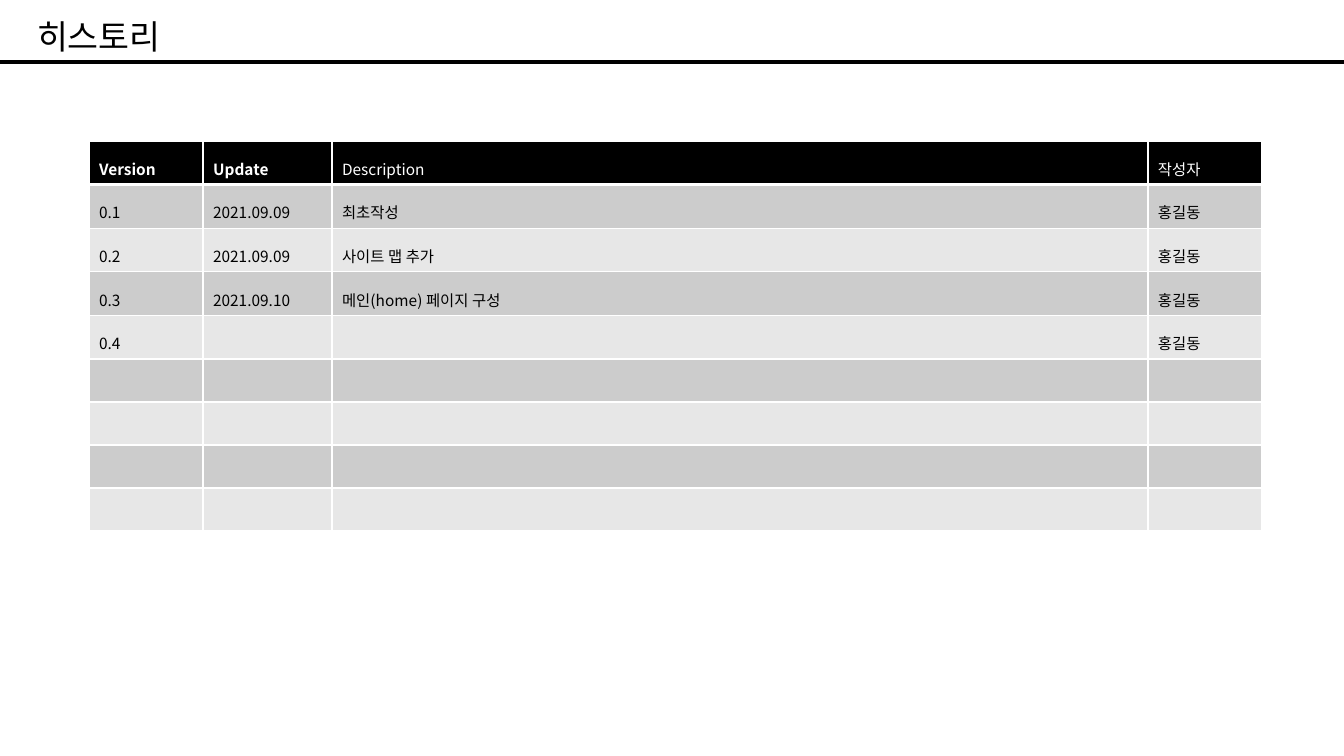
"""Build the version history slide: a title, a rule and a table of revisions."""
from dataclasses import dataclass

import lxml.etree
import pptx
import pptx.dml.color
import pptx.enum.shapes
import pptx.enum.text
import pptx.oxml.ns
import pptx.util

EMU_PER_PX = 914400 / 100.8
FONT = "Noto Sans CJK KR"
COLORS = {
    "black": "000000",
    "white": "FFFFFF",
    "odd_row": "CCCCCC",
    "even_row": "E7E7E7",
}
COLUMN_WIDTHS = (114, 129, 816, 114)
ROW_HEIGHT = 43
ROW_COUNT = 9
HEADER = ("Version", "Update", "Description", "작성자")
BOLD_COLUMNS = 2


@dataclass(frozen=True)
class Revision:
    version: str = ""
    update: str = ""
    description: str = ""
    author: str = ""

    def cells(self) -> tuple[str, ...]:
        return self.version, self.update, self.description, self.author


REVISIONS = (
    Revision("0.1", "2021.09.09", "최초작성", "홍길동"),
    Revision("0.2", "2021.09.09", "사이트 맵 추가", "홍길동"),
    Revision("0.3", "2021.09.10", "메인(home) 페이지 구성", "홍길동"),
    Revision("0.4", author="홍길동"),
)


def px(n: int) -> pptx.util.Emu:
    return pptx.util.Emu(round(n * EMU_PER_PX))


def rgb(name: str) -> pptx.dml.color.RGBColor:
    return pptx.dml.color.RGBColor.from_string(COLORS[name])


def add_element(parent, tag: str, **attributes: str):
    return lxml.etree.SubElement(parent, pptx.oxml.ns.qn(tag), attributes)


def set_text(tf, text: str, *, size: int, color: str = "black",
             bold: bool = False, spacing: float = 1.0) -> None:
    p = tf.paragraphs[0]
    p.alignment = pptx.enum.text.PP_ALIGN.LEFT
    p.line_spacing = spacing
    if not text:
        add_element(p._p, "a:endParaRPr", sz=str(size * 100))
        return
    r = p.add_run()
    r.text = text
    r.font.size = pptx.util.Pt(size)
    r.font.name = FONT
    r.font.bold = bold
    r.font.color.rgb = rgb(color)
    add_element(r._r.get_or_add_rPr(), "a:ea", typeface=FONT)


def set_borders(cell, **widths: int) -> None:
    tc_pr = cell._tc.get_or_add_tcPr()
    for i, (side, width) in enumerate(widths.items()):
        ln = add_element(tc_pr, f"a:ln{side}", w=str(pptx.util.Pt(width)))
        fill = add_element(ln, "a:solidFill")
        add_element(fill, "a:srgbClr", val=COLORS["white"])
        tc_pr.insert(i, ln)


def add_title(s, text: str) -> None:
    sp = s.shapes.title
    sp.left, sp.top, sp.width, sp.height = px(27), px(11), px(328), px(50)
    tf = sp.text_frame
    tf.word_wrap = True
    tf.auto_size = pptx.enum.text.MSO_AUTO_SIZE.NONE
    tf.vertical_anchor = pptx.enum.text.MSO_ANCHOR.MIDDLE
    set_text(tf, text, size=24)


def add_rule(s, y: int, width: int) -> None:
    sp = s.shapes.add_connector(
        pptx.enum.shapes.MSO_CONNECTOR.STRAIGHT, 0, px(y), px(width), px(y))
    sp.line.color.rgb = rgb("black")
    sp.line.width = pptx.util.Pt(3)
    add_element(sp._element.spPr, "a:effectLst")


def add_history(s, left: int, top: int) -> None:
    table = s.shapes.add_table(
        ROW_COUNT, len(HEADER), px(left), px(top),
        px(sum(COLUMN_WIDTHS)), px(ROW_COUNT * ROW_HEIGHT)).table
    for column, width in zip(table.columns, COLUMN_WIDTHS):
        column.width = px(width)
    blanks = (Revision(),) * (ROW_COUNT - 1 - len(REVISIONS))
    rows = [HEADER, *(item.cells() for item in REVISIONS + blanks)]
    for i, texts in enumerate(rows):
        table.rows[i].height = px(ROW_HEIGHT)
        header = i == 0
        fill = "black" if header else "odd_row" if i % 2 else "even_row"
        for j, text in enumerate(texts):
            cell = table.cell(i, j)
            cell.fill.solid()
            cell.fill.fore_color.rgb = rgb(fill)
            set_borders(cell, L=1, R=1, T=3 if i == 1 else 1, B=3 if header else 1)
            set_text(cell.text_frame, text, size=11, spacing=1.5,
                     color="white" if header else "black",
                     bold=header and j < BOLD_COLUMNS)


def main() -> None:
    prs = pptx.Presentation()
    prs.slide_width, prs.slide_height = px(1344), px(756)
    s = prs.slides.add_slide(prs.slide_layouts.get_by_name("Title Only"))
    add_title(s, "히스토리")
    add_rule(s, 62, 1344)
    add_history(s, 89, 141)
    prs.save("out.pptx")


if __name__ == "__main__":
    main()
